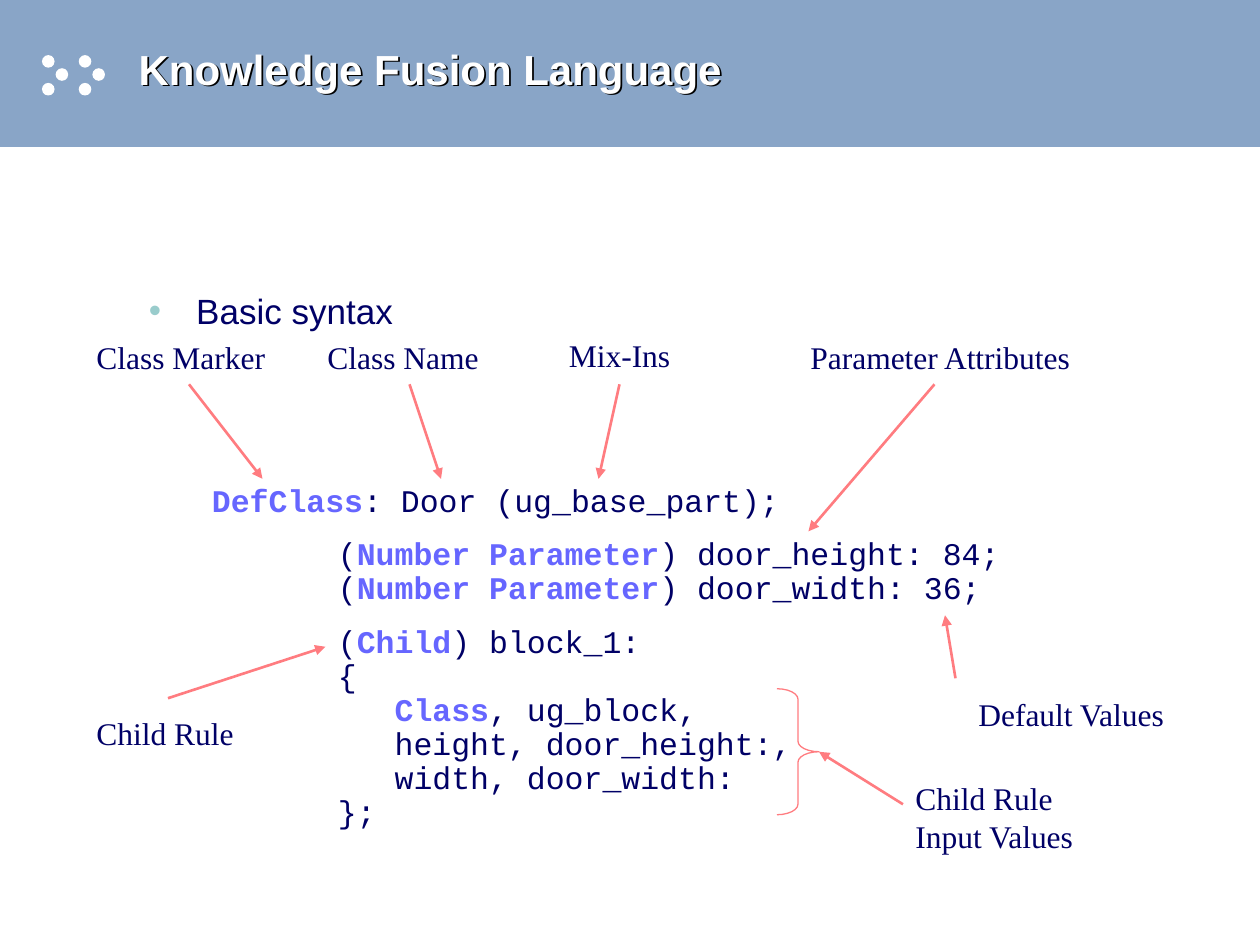
from pptx import Presentation
from pptx.dml.color import RGBColor
from pptx.enum.shapes import MSO_CONNECTOR, MSO_SHAPE
from pptx.enum.text import MSO_ANCHOR, PP_ALIGN
from pptx.oxml import parse_xml
from pptx.oxml.ns import nsdecls
from pptx.util import Inches, Pt

RECTANGLE, OVAL, BRACE = MSO_SHAPE.RECTANGLE, MSO_SHAPE.OVAL, MSO_SHAPE.RIGHT_BRACE
STRAIGHT = MSO_CONNECTOR.STRAIGHT
TOP, MIDDLE = MSO_ANCHOR.TOP, MSO_ANCHOR.MIDDLE
LEFT = PP_ALIGN.LEFT

THEME = {
    "band": RGBColor.from_string("89A5C7"),
    "white": RGBColor.from_string("FFFFFF"),
    "ink": RGBColor.from_string("000066"),
    "keyword": RGBColor.from_string("6666FF"),
    "arrow": RGBColor.from_string("FF7C80"),
    "bullet": "99CCCC",
    "shadow": "000000",
    "title": ("Arial", Pt(24)),
    "body": ("Arial", Pt(20)),
    "label": ("Times New Roman", Pt(18)),
    "code": ("Courier New", Pt(18)),
}

deck = Presentation()
deck.slide_width, deck.slide_height = Inches(10), Inches(7.5)
COLUMN, ROW = deck.slide_width / 120, deck.slide_height / 90
page = deck.slides.add_slide(deck.slide_layouts[5])
page.background.fill.solid()
page.background.fill.fore_color.rgb = THEME["band"]


def grid(column, row, columns, rows):
    return int(column * COLUMN), int(row * ROW), int(columns * COLUMN), int(rows * ROW)


def add_span(para, text, style, color, bold=False):
    span = para.add_run()
    span.text = text
    span.font.name, span.font.size = THEME[style]
    span.font.color.rgb = color
    span.font.bold = bold


dots = [(4 + group + column, row) for group in (0, 3.5)
        for column, row in ((0, 5.25), (1.3, 6.5), (0, 7.9))]
header = [(RECTANGLE, (0, 0, 120, 90), "white"), (RECTANGLE, (0, 0, 120, 14), "band")]
header += [(OVAL, (column, row, 1.2, 1.2), "white") for column, row in dots]
for kind, area, color in header:
    shape = page.shapes.add_shape(kind, *grid(*area))
    shape.shadow.inherit = False
    shape.fill.solid()
    shape.fill.fore_color.rgb = THEME[color]
    shape.line.fill.background()

title = page.shapes.title
title.element.getparent().append(title.element)
title.left, title.top, title.width, title.height = grid(12, 0, 108, 13)
title.text_frame.vertical_anchor = MIDDLE
title.text_frame.word_wrap = True
para = title.text_frame.paragraphs[0]
para.alignment = LEFT
add_span(para, "Knowledge Fusion Language", "title", THEME["white"], True)
title.fill.background()
title.element.spPr.append(parse_xml(
    f'<a:effectLst {nsdecls("a")}><a:outerShdw dist="17961" dir="2700000" algn="ctr" '
    f'rotWithShape="0"><a:srgbClr val="{THEME["shadow"]}"/></a:outerShdw></a:effectLst>'))

body = page.shapes.add_textbox(*grid(13, 27, 98, 54))
body.text_frame.word_wrap = True
para = body.text_frame.paragraphs[0]
properties = para._p.get_or_add_pPr()
indent = int(4.5 * COLUMN)
properties.set("marL", str(indent))
properties.set("indent", str(-indent))
for markup in (f'<a:buClr {nsdecls("a")}><a:srgbClr val="{THEME["bullet"]}"/></a:buClr>',
               f'<a:buFont {nsdecls("a")} typeface="Arial"/>',
               f'<a:buChar {nsdecls("a")} char="•"/>'):
    properties.append(parse_xml(markup))
add_span(para, "Basic syntax", "body", THEME["ink"])

statements = [
    [("", "DefClass", ": Door (ug_base_part);")],
    [("\t(", "Number Parameter", ") door_height: 84;"),
     ("\t(", "Number Parameter", ") door_width: 36;")],
    [("\t(", "Child", ") block_1:"),
     ("\t{", "", ""),
     ("\t   ", "Class", ", ug_block,"),
     ("\t   height, door_height:,", "", ""),
     ("\t   width, door_width:", "", ""),
     ("\t};", "", "")],
]
code = page.shapes.add_textbox(*grid(19, 45.6, 81, 34.2))
code.text_frame.word_wrap = True
for number, statement in enumerate(statements):
    para = code.text_frame.add_paragraph() if number else code.text_frame.paragraphs[0]
    para._p.get_or_add_pPr().append(parse_xml(
        f'<a:tabLst {nsdecls("a")}><a:tab pos="{Inches(1)}" algn="l"/></a:tabLst>'))
    para.line_spacing = 0.9
    if number:
        para.space_before = Pt(11.2)
    for position, (before, keyword, after) in enumerate(statement):
        if position:
            para.add_line_break()
        for text, color, bold in ((before, "ink", False), (keyword, "keyword", True),
                                  (after, "ink", False)):
            if text:
                add_span(para, text, "code", THEME[color], bold)

labels = [
    (["Class Marker"], (8, 31.6, 21, 4.8)),
    (["Class Name"], (30, 31.6, 21, 4.8)),
    (["Mix-Ins"], (53, 31.4, 13, 4.8)),
    (["Parameter Attributes"], (76, 31.6, 28, 4.8)),
    (["Child Rule", "Input Values"], (86, 73.6, 21, 8.4)),
    (["Child Rule"], (8, 67.4, 21, 4.8)),
    (["Default Values"], (92, 65.6, 21, 4.8)),
]
for lines, area in labels:
    label = page.shapes.add_textbox(*grid(*area))
    label.text_frame.word_wrap = True
    label.text_frame.vertical_anchor = TOP
    para = label.text_frame.paragraphs[0]
    for position, line in enumerate(lines):
        if position:
            para.add_line_break()
        add_span(para, line, "label", THEME["ink"])

arrows = [
    (18, 36.6, 25, 45.6),
    (39, 36.6, 42, 45.6),
    (59, 36.6, 57, 45.6),
    (89, 36.6, 77, 50.6),
    (86, 76.6, 78, 71.6),
    (16, 66.5, 31, 61.6),
    (91, 64.6, 90, 58.6),
]
for arrow in arrows:
    connector = page.shapes.add_connector(STRAIGHT, *grid(*arrow))
    connector.line.color.rgb = THEME["arrow"]
    connector.line.width = Pt(1.5)
    connector.line._get_or_add_ln().append(
        parse_xml(f'<a:tailEnd {nsdecls("a")} type="triangle"/>'))
    connector.element.spPr.append(parse_xml(f'<a:effectLst {nsdecls("a")}/>'))

brace = page.shapes.add_shape(BRACE, *grid(74, 65.6, 4, 12))
brace.shadow.inherit = False
brace.adjustments[0] = 0.25
brace.fill.background()
brace.line.color.rgb = THEME["arrow"]
brace.line.width = Pt(0.75)

deck.save("out.pptx")
